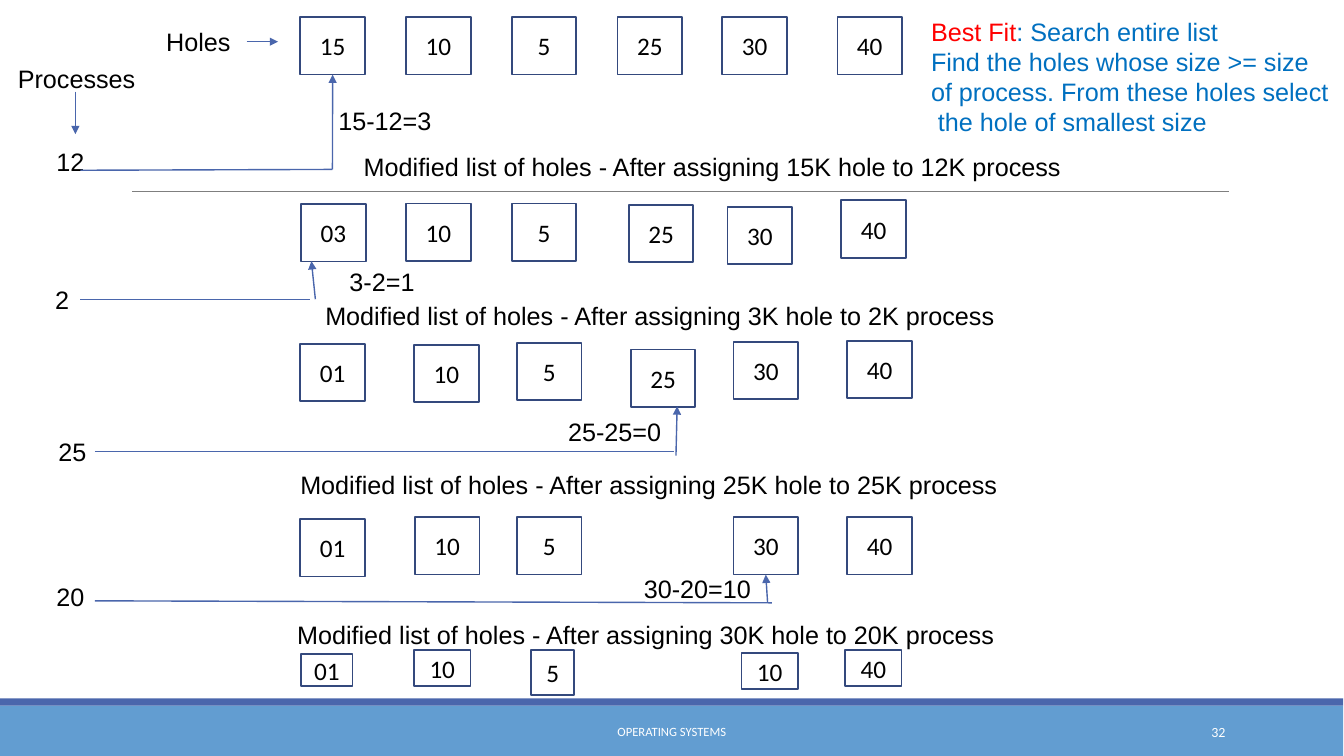
from lxml import etree
from pptx import Presentation
from pptx.dml.color import RGBColor
from pptx.enum.shapes import MSO_CONNECTOR, MSO_SHAPE
from pptx.enum.text import MSO_ANCHOR, PP_ALIGN
from pptx.oxml.ns import qn
from pptx.util import Cm, Pt

STRAIGHT, RECT = MSO_CONNECTOR.STRAIGHT, MSO_SHAPE.RECTANGLE
LEFT, CENTER, RIGHT = PP_ALIGN.LEFT, PP_ALIGN.CENTER, PP_ALIGN.RIGHT
TOP, MIDDLE = MSO_ANCHOR.TOP, MSO_ANCHOR.MIDDLE
BLACK, WHITE, BLUE, NAVY = "000000", "FFFFFF", "4A66AC", "34497D"
RED, NOTE_BLUE, FOOTER_BLUE, GREY = "FF0000", "0070C0", "629DD1", "7F7F7F"
BOTTOM_SIDE = 2

prs = Presentation()
prs.slide_width, prs.slide_height = Cm(33.88), Cm(19.05)
slide = prs.slides.add_slide(prs.slide_layouts[6])
shapes = slide.shapes


def write(s, lines, font="Arial", size=18, align=LEFT, anchor=TOP):
    """Fill a shape with lines, each a list of (text, colour) runs."""
    tf = s.text_frame
    tf.word_wrap = True
    tf.vertical_anchor = anchor
    for i, runs in enumerate(lines):
        p = tf.add_paragraph() if i else tf.paragraphs[0]
        p.alignment = align
        for text, color in runs:
            r = p.add_run()
            r.text = text
            for name, value in {"name": font, "size": Pt(size)}.items():
                setattr(r.font, name, value)
            r.font.color.rgb = RGBColor.from_string(color)


def add_line(x1, y1, x2, y2, color=BLUE, width=1, arrow=False):
    c = shapes.add_connector(STRAIGHT, Cm(x1), Cm(y1), Cm(x2), Cm(y2))
    c.line.color.rgb = RGBColor.from_string(color)
    c.line.width = Pt(width)
    if arrow:
        etree.SubElement(c.line._get_or_add_ln(), qn("a:tailEnd"), type="triangle")
    etree.SubElement(c._element.spPr, qn("a:effectLst"))
    return c


# Footer and divider
add_line(3.33, 4.83, 30.99, 4.83, GREY, 0.5)
for top, height, color in [(17.78, 1.27, FOOTER_BLUE), (17.6, 0.18, BLUE)]:
    s = shapes.add_shape(RECT, 0, Cm(top), Cm(33.86), Cm(height))
    s.shadow.inherit = False
    s.fill.solid()
    s.fill.fore_color.rgb = RGBColor.from_string(color)
    s.line.fill.background()
for text, left, width, size, align in [
    ("OPERATING SYSTEMS", 10.24, 13.39, 9, CENTER),
    ("32", 27.51, 3.63, 10, RIGHT),
]:
    s = shapes.add_textbox(Cm(left), Cm(17.93), Cm(width), Cm(1.02))
    write(s, [[(text, WHITE)]], "Calibri", size, align, MIDDLE)

# Hole lists: size, left, top, then width and height where not standard
hole_rows = [
    [("15", 7.57, 0.43), ("10", 10.24, 0.43), ("5", 12.9, 0.43),
     ("25", 15.57, 0.43), ("30", 18.21, 0.43), ("40", 21.11, 0.43)],
    [("03", 7.59, 5.14), ("10", 10.24, 5.13), ("5", 12.9, 5.13),
     ("25", 15.85, 5.16), ("30", 18.34, 5.21), ("40", 21.21, 5.05)],
    [("01", 7.57, 8.66), ("10", 10.44, 8.69), ("5", 13.03, 8.64),
     ("25", 15.9, 8.81), ("30", 18.49, 8.61), ("40", 21.36, 8.59)],
    [("01", 7.57, 13.08), ("10", 10.46, 13.03), ("5", 13.03, 13.03),
     ("30", 18.49, 13.03), ("40", 21.36, 13.03)],
    [("01", 7.59, 16.48, 1.3, 0.81), ("10", 10.44, 16.38, 1.42, 0.91),
     ("5", 13.39, 16.38, 1.09, 1.14), ("10", 18.69, 16.46, 1.42, 0.91),
     ("40", 21.31, 16.38, 1.42, 0.91)],
]
holes = []
for row in hole_rows:
    holes.append([])
    for text, left, top, *size in row:
        width, height = size or (1.63, 1.45)
        s = shapes.add_shape(RECT, Cm(left), Cm(top), Cm(width), Cm(height))
        s.shadow.inherit = False
        s.fill.background()
        s.line.color.rgb = RGBColor.from_string(NAVY)
        s.line.width = Pt(1.25)
        write(s, [[(text, BLACK)]], "Calibri", align=CENTER, anchor=MIDDLE)
        holes[-1].append(s)

# Labels, processes, remainders and captions
caption = "Modified list of holes - After assigning {}K hole to {}K process"
labels = [
    ("Holes", 3.94, 0.53, 2.4),
    ("Processes", 0.2, 1.47, 3.7),
    ("12", 1.17, 3.56, 1.5),
    ("2", 1.14, 7.04, 1.5),
    ("25", 1.22, 10.87, 1.5),
    ("20", 1.17, 14.53, 1.5),
    ("15-12=3", 8.28, 2.54, 3.5),
    ("3-2=1", 8.56, 6.58, 3.5),
    ("25-25=0", 14.07, 10.36, 3.5),
    ("30-20=10", 15.98, 14.33, 3.5),
    (caption.format(15, 12), 8.92, 3.68, 18.5),
    (caption.format(3, 2), 7.95, 7.44, 18.5),
    (caption.format(25, 25), 7.32, 11.71, 18.5),
    (caption.format(30, 20), 7.24, 15.49, 18.5),
]
for text, left, top, width in labels:
    s = shapes.add_textbox(Cm(left), Cm(top), Cm(width), Cm(1.02))
    write(s, [[(text, BLACK)]])

note = shapes.add_textbox(Cm(23.22), Cm(0.28), Cm(10.66), Cm(4.06))
write(note, [
    [("Best Fit", RED), (": Search entire list", NOTE_BLUE)],
    [("Find the holes whose size >= size", NOTE_BLUE)],
    [("of process. From these holes select", NOTE_BLUE)],
    [(" the hole of smallest size", NOTE_BLUE)],
])

# Paths from each process to its hole
for ends in [(2.03, 4.29, 8.38, 4.27), (2.03, 7.54, 7.82, 7.54),
             (2.39, 11.38, 16.99, 11.38), (2.39, 15.14, 19.46, 15.19)]:
    add_line(*ends)
for ends in [(6.22, 1.05, 7.01, 1.05), (1.9, 2.31, 1.9, 3.38),
             (7.95, 7.54, 7.85, 6.58), (17.04, 11.48, 17.07, 10.24)]:
    add_line(*ends, arrow=True)
for hole, x, y in [(holes[0][0], 8.38, 4.27), (holes[3][3], 19.35, 15.19)]:
    c = add_line(x, y, x, y, arrow=True)
    c.end_connect(hole, BOTTOM_SIDE)

prs.save("out.pptx")
